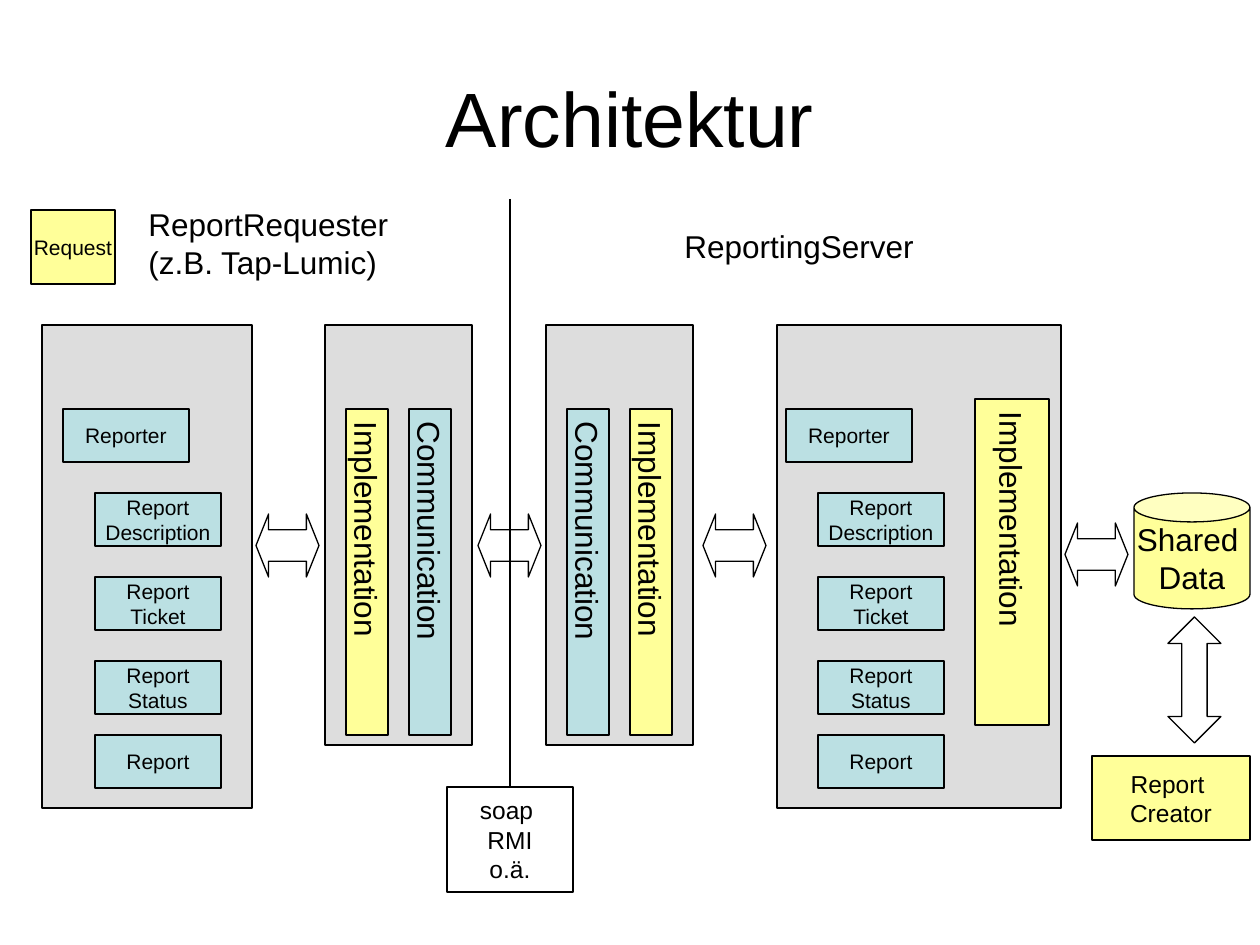
"""Build the reporting architecture slide."""
import pptx
import pptx.util
import pptx.dml.color
import pptx.enum.shapes
import pptx.enum.text
import pptx.oxml.ns
from lxml import etree

PX = pptx.util.Inches(1) / 126
BLACK = pptx.dml.color.RGBColor(0x00, 0x00, 0x00)
WHITE = pptx.dml.color.RGBColor(0xFF, 0xFF, 0xFF)
GREY = pptx.dml.color.RGBColor(0xDD, 0xDD, 0xDD)
BLUE = pptx.dml.color.RGBColor(0xBB, 0xE0, 0xE3)
YELLOW = pptx.dml.color.RGBColor(0xFF, 0xFF, 0x99)

SHAPES = pptx.enum.shapes.MSO_SHAPE
ALIGN = pptx.enum.text.PP_ALIGN
ANCHOR = pptx.enum.text.MSO_ANCHOR
AUTO_SIZE = pptx.enum.text.MSO_AUTO_SIZE

TITLE = ("Architektur", (63, 38, 1134, 158))
HEADINGS = [
    ("ReportingServer", (672, 221, 255, 50)),
    ("ReportRequester\n(z.B. Tap-Lumic)", (136, 199, 265, 88)),
]
PANELS = [
    (42, 325, 210, 483),
    (325, 325, 147, 420),
    (546, 325, 147, 420),
    (777, 325, 284, 483),
]
STACK_LEFTS = [63, 786]
STACK_INDENT = 32
STACK_BOX = (126, 53)
STACK_ROWS = [
    ("Reporter", 409),
    ("Report\nDescription", 493),
    ("Report\nTicket", 577),
    ("Report\nStatus", 661),
    ("Report", 735),
]
BARS = [
    ("Implementation", (346, 409, 42, 326), YELLOW),
    ("Communication", (409, 409, 42, 326), BLUE),
    ("Communication", (567, 409, 42, 326), BLUE),
    ("Implementation", (630, 409, 42, 326), YELLOW),
    ("Implementation", (975, 399, 74, 326), YELLOW),
]
BOXES = [
    ("Request", (31, 210, 84, 74), YELLOW, 12, SHAPES.RECTANGLE),
    ("Shared \nData", (1134, 493, 116, 116), YELLOW, 18, SHAPES.CAN),
    ("Report \nCreator", (1092, 756, 158, 84), YELLOW, 14, SHAPES.RECTANGLE),
    ("soap \nRMI\no.ä.", (447, 787, 126, 105), WHITE, 14, SHAPES.RECTANGLE),
]
ARROWS = [
    (SHAPES.LEFT_RIGHT_ARROW, (256, 514, 63, 63), 0.2),
    (SHAPES.LEFT_RIGHT_ARROW, (478, 514, 63, 63), 0.2),
    (SHAPES.LEFT_RIGHT_ARROW, (703, 514, 63, 63), 0.2),
    (SHAPES.LEFT_RIGHT_ARROW, (1065, 523, 63, 63), 0.2),
    (SHAPES.UP_DOWN_ARROW, (1168, 617, 53, 126), 0.48),
]
DIVIDER = (510, 199, 510, 798)


def emu(lengths):
    return [round(length * PX) for length in lengths]


def write(shape, text, size, alignment):
    frame = shape.text_frame
    frame.text = text
    for paragraph in frame.paragraphs:
        paragraph.alignment = alignment
        for run in paragraph.runs:
            run.font.name = "Arial"
            run.font.size = pptx.util.Pt(size)
            run.font.color.rgb = BLACK
    return frame


def add_shape(slide, kind, place, fill):
    shape = slide.shapes.add_shape(kind, *emu(place))
    shape.shadow.inherit = False
    shape.fill.solid()
    shape.fill.fore_color.rgb = fill
    shape.line.color.rgb = BLACK
    shape.line.width = pptx.util.Pt(0.75)
    return shape


def add_box(slide, text, place, fill, size, kind=SHAPES.RECTANGLE):
    frame = write(add_shape(slide, kind, place, fill), text, size, ALIGN.CENTER)
    frame.vertical_anchor = ANCHOR.MIDDLE
    frame.word_wrap = False
    return frame


def add_bar(slide, text, place, fill):
    frame = add_box(slide, text, place, fill, 18)
    frame.margin_left = frame.margin_right = pptx.util.Inches(0.05)
    frame.margin_top = frame.margin_bottom = pptx.util.Inches(0.1)
    body = frame._txBody.find(pptx.oxml.ns.qn("a:bodyPr"))
    body.set("vert", "eaVert")


def add_title(slide):
    text, place = TITLE
    title = slide.shapes.title
    title.left, title.top, title.width, title.height = emu(place)
    frame = write(title, text, 44, ALIGN.CENTER)
    frame.vertical_anchor = ANCHOR.MIDDLE
    frame.auto_size = AUTO_SIZE.NONE


def add_heading(slide, text, place):
    frame = write(slide.shapes.add_textbox(*emu(place)), text, 18, ALIGN.LEFT)
    frame.word_wrap = False
    frame.auto_size = AUTO_SIZE.SHAPE_TO_FIT_TEXT


def add_divider(slide):
    straight = pptx.enum.shapes.MSO_CONNECTOR.STRAIGHT
    divider = slide.shapes.add_connector(straight, *emu(DIVIDER))
    divider.line.color.rgb = BLACK
    divider.line.width = pptx.util.Pt(0.75)
    properties = divider._element.spPr
    etree.SubElement(properties, pptx.oxml.ns.qn("a:effectLst"))


def main():
    presentation = pptx.Presentation()
    presentation.slide_width = pptx.util.Inches(10)
    presentation.slide_height = pptx.util.Inches(7.5)
    slide = presentation.slides.add_slide(presentation.slide_layouts[5])

    add_title(slide)
    for place in PANELS:
        add_shape(slide, SHAPES.RECTANGLE, place, GREY)
    for text, place in HEADINGS:
        add_heading(slide, text, place)
    for stack_left in STACK_LEFTS:
        for row, (text, top) in enumerate(STACK_ROWS):
            left = stack_left + (STACK_INDENT if row else 0)
            add_box(slide, text, (left, top, *STACK_BOX), BLUE, 12)
    for text, place, fill in BARS:
        add_bar(slide, text, place, fill)
    for kind, place, head in ARROWS:
        arrow = add_shape(slide, kind, place, WHITE)
        arrow.adjustments[0] = 0.5
        arrow.adjustments[1] = head
    add_divider(slide)
    for text, place, fill, size, kind in BOXES:
        add_box(slide, text, place, fill, size, kind)

    presentation.save("out.pptx")


if __name__ == "__main__":
    main()
